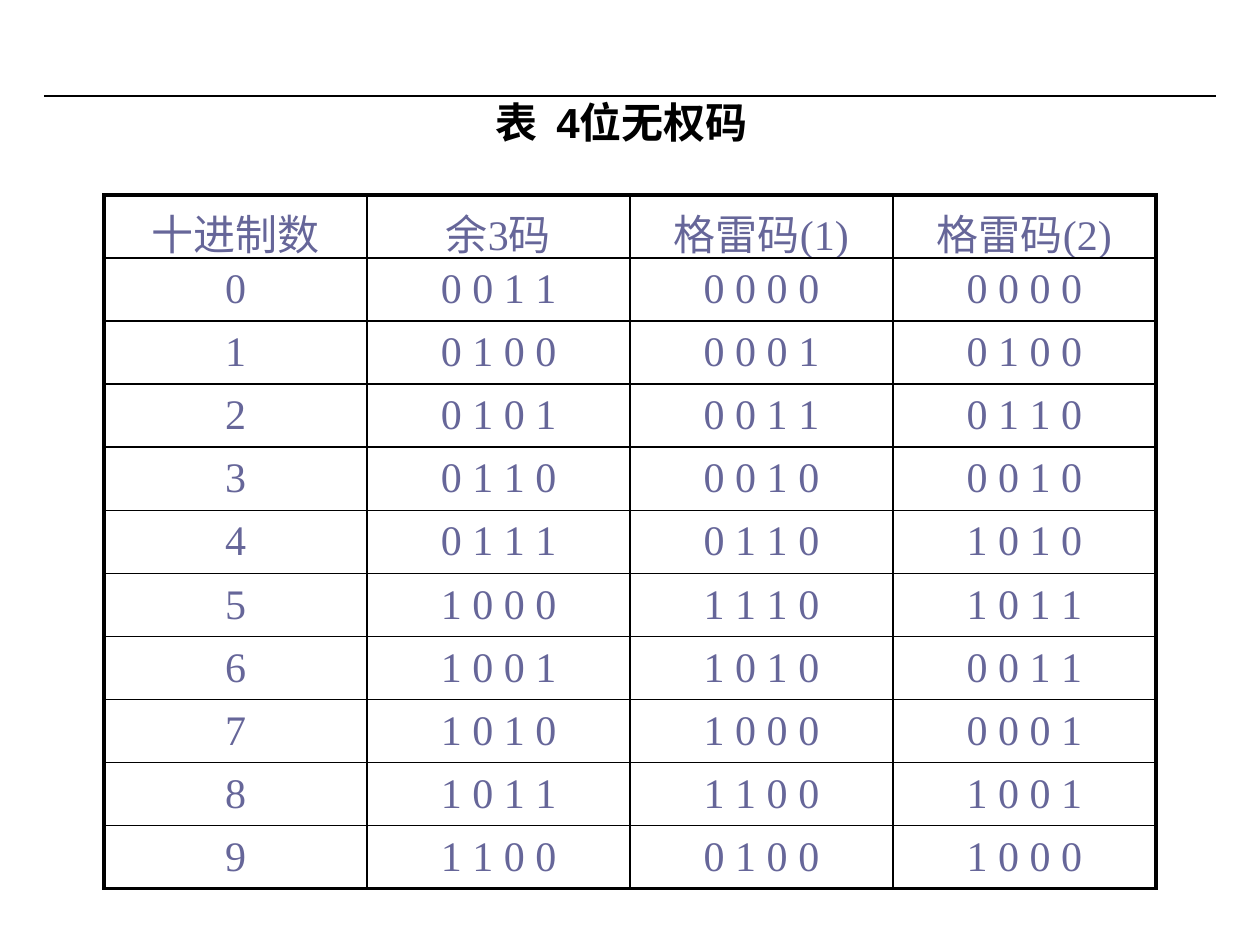
from lxml.etree import SubElement
from pptx import Presentation
from pptx.dml.color import RGBColor
from pptx.enum.shapes import MSO_CONNECTOR
from pptx.enum.text import MSO_ANCHOR, PP_ALIGN
from pptx.oxml.ns import qn
from pptx.util import Emu, Pt

TITLE = "表  4位无权码"
HEADERS = ["十进制数", "余3码", "格雷码(1)", "格雷码(2)"]
CODES = [
    ("0011", "0000", "0000"),
    ("0100", "0001", "0100"),
    ("0101", "0011", "0110"),
    ("0110", "0010", "0010"),
    ("0111", "0110", "1010"),
    ("1000", "1110", "1011"),
    ("1001", "1010", "0011"),
    ("1010", "1000", "0001"),
    ("1011", "1100", "1001"),
    ("1100", "0100", "1000"),
]
COLORS = {"ink": "000000", "code": "666699", "paper": "FFFFFF"}
INNER, OUTER = 1, 2.25
COL_WIDTH, ROW_HEIGHT = 263, 55


def px(n):
    return Emu(n * 914400 // 126)


def color(name):
    return RGBColor.from_string(COLORS[name])


def style(paragraph, font_name, color_name, bold=False):
    paragraph.alignment = PP_ALIGN.CENTER
    for run in paragraph.runs:
        run.font.name = font_name
        run.font.size = Pt(24)
        run.font.bold = bold
        run.font.color.rgb = color(color_name)


def set_borders(cell, widths):
    properties = cell._tc.get_or_add_tcPr()
    for position, (side, width) in enumerate(widths.items()):
        border = properties.makeelement(qn(f"a:{side}"), {"w": str(Pt(width))})
        properties.insert(position, border)
        fill = SubElement(border, qn("a:solidFill"))
        SubElement(fill, qn("a:srgbClr"), val=COLORS["ink"])


prs = Presentation()
prs.slide_width, prs.slide_height = px(1260), px(945)
slide = prs.slides.add_slide(prs.slide_layouts[6])

rule = slide.shapes.add_connector(MSO_CONNECTOR.STRAIGHT, px(44), px(96), px(1216), px(96))
rule.line.color.rgb = color("ink")
rule.line.width = Pt(0.75)
SubElement(rule._element.spPr, qn("a:effectLst"))

title = slide.shapes.add_textbox(px(44), px(96), px(1155), px(70))
title.text_frame.word_wrap = True
title.text_frame.text = TITLE
heading = title.text_frame.paragraphs[0]
heading.line_spacing = 0.9
style(heading, "Arial", "ink", bold=True)

rows = [HEADERS] + [
    [str(digit)] + [" ".join(code) for code in codes]
    for digit, codes in enumerate(CODES)
]
last_row, last_col = len(rows) - 1, len(HEADERS) - 1
table = slide.shapes.add_table(
    len(rows), len(HEADERS), px(104), px(195),
    px(COL_WIDTH * len(HEADERS)), px(ROW_HEIGHT * len(rows)),
).table
table.first_row = table.horz_banding = False

for column in table.columns:
    column.width = px(COL_WIDTH)
for r, row in enumerate(rows):
    table.rows[r].height = px(ROW_HEIGHT)
    for c, text in enumerate(row):
        cell = table.cell(r, c)
        cell.text_frame.text = text
        cell.vertical_anchor = MSO_ANCHOR.MIDDLE
        style(cell.text_frame.paragraphs[0], "Times New Roman", "code")
        cell.fill.solid()
        cell.fill.fore_color.rgb = color("paper")
        set_borders(cell, {
            "lnL": OUTER if c == 0 else INNER,
            "lnR": OUTER if c == last_col else INNER,
            "lnT": OUTER if r == 0 else INNER,
            "lnB": OUTER if r == last_row else INNER,
        })

prs.save("out.pptx")
